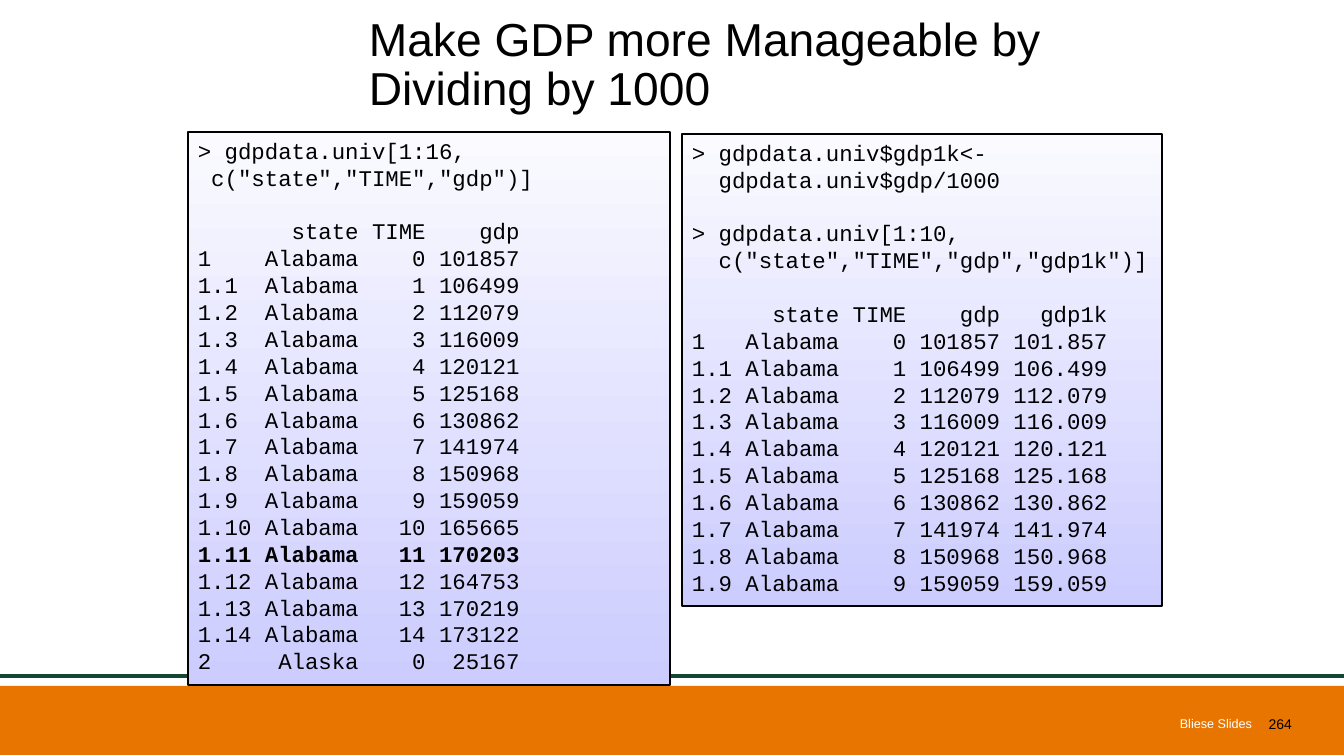
from lxml import etree
from pptx import Presentation
from pptx.dml.color import RGBColor
from pptx.enum.shapes import MSO_CONNECTOR, MSO_SHAPE
from pptx.enum.text import MSO_ANCHOR, PP_ALIGN
from pptx.oxml.ns import qn
from pptx.util import Emu, Pt

LEFT, RIGHT = PP_ALIGN.LEFT, PP_ALIGN.RIGHT
TOP, MIDDLE = MSO_ANCHOR.TOP, MSO_ANCHOR.MIDDLE
RECT, STRAIGHT = MSO_SHAPE.RECTANGLE, MSO_CONNECTOR.STRAIGHT

GDP = [101857, 106499, 112079, 116009, 120121, 125168, 130862, 141974,
       150968, 159059, 165665, 170203, 164753, 170219, 173122]
ROWS = [(f"1.{time}" if time else "1", "Alabama", time, gdp)
        for time, gdp in enumerate(GDP)] + [("2", "Alaska", 0, 25167)]
PEAK = "1.11"

# Each listing is a series of blocks with one blank line between them.
GDP_BLOCKS = [
    ["> gdpdata.univ[1:16,", ' c("state","TIME","gdp")]'],
    ["       state TIME    gdp"]
    + [f"{row:<4} {state:>7} {time:>4} {gdp:>6}" for row, state, time, gdp in ROWS],
]
GDP1K_BLOCKS = [
    ["> gdpdata.univ$gdp1k<-", "  gdpdata.univ$gdp/1000"],
    ["> gdpdata.univ[1:10,", '  c("state","TIME","gdp","gdp1k")]'],
    ["      state TIME    gdp   gdp1k"]
    + [f"{row:<3} {state:>7} {time:>4} {gdp:>6} {gdp / 1000:.3f}"
       for row, state, time, gdp in ROWS[:10]],
]
LISTINGS = [((188, 132, 482, 553), GDP_BLOCKS), ((682, 134, 480, 472), GDP1K_BLOCKS)]

# text, box, size, colour, alignment, right inset
LABELS = [
    ("Make GDP more Manageable by Dividing by 1000", (359, 24, 723, 84), 33, "000000", LEFT, 10),
    ("Bliese Slides", (446, 713, 806, 21), 9, "FFFFFF", RIGHT, 0),
    ("264", (1252, 713, 50, 21), 10, "000000", RIGHT, 10),
]

SLIDE_W, SLIDE_H = 1344, 756
BAR = (0, 686, SLIDE_W, 69)
RULE_Y = 676
CODE_SIZE, CODE_LINE = 16, 19.2


def px(n):
    return Emu(round(n * 914400 / 100.8))


def rgb(value):
    return RGBColor.from_string(value)


def set_all(obj, values):
    for name, value in values.items():
        setattr(obj, name, value)


def set_font(r, face, size, color, bold=False):
    set_all(r.font, {"name": face, "size": Pt(size), "bold": bold})
    r.font.color.rgb = rgb(color)


def add_rect(box):
    sp = slide.shapes.add_shape(RECT, *map(px, box))
    sp.shadow.inherit = False
    return sp


def add_label(text, box, size, color, align, inset):
    tf = slide.shapes.add_textbox(*map(px, box)).text_frame
    set_all(tf, {"word_wrap": True, "vertical_anchor": MIDDLE, "margin_right": px(inset)})
    p = tf.paragraphs[0]
    set_all(p, {"alignment": align, "line_spacing": 0.9 if size > 30 else 1.0})
    r = p.add_run()
    r.text = text
    set_font(r, "Arial", size, color)


def add_listing(box, blocks):
    sp = add_rect(box)
    sp.fill.gradient()
    sp.fill.gradient_angle = 270
    for stop, color, position in zip(sp.fill.gradient_stops, ("FAFAFF", "CCCCFF"), (0, 1)):
        stop.color.rgb = rgb(color)
        stop.position = position
    sp.line.color.rgb = rgb("000000")
    sp.line.width = Pt(1)
    tf = sp.text_frame
    set_all(tf, {"word_wrap": True, "vertical_anchor": TOP})
    lines = [(text, b > 0 and i == 0)
             for b, block in enumerate(blocks) for i, text in enumerate(block)]
    for n, (text, after_gap) in enumerate(lines):
        p = tf.add_paragraph() if n else tf.paragraphs[0]
        set_all(p, {"alignment": LEFT, "line_spacing": Pt(CODE_LINE)})
        if after_gap:
            p.space_before = Pt(CODE_LINE)
        r = p.add_run()
        r.text = text
        set_font(r, "Courier New", CODE_SIZE, "000000", text.startswith(PEAK))


prs = Presentation()
set_all(prs, {"slide_width": px(SLIDE_W), "slide_height": px(SLIDE_H)})
slide = prs.slides.add_slide(prs.slide_layouts[6])

bar = add_rect(BAR)
bar.fill.solid()
bar.fill.fore_color.rgb = rgb("E87500")
bar.line.fill.background()

rule = slide.shapes.add_connector(STRAIGHT, 0, px(RULE_Y), px(SLIDE_W), px(RULE_Y))
rule.line.color.rgb = rgb("154734")
rule.line.width = Pt(3)
etree.SubElement(rule._element.spPr, qn("a:effectLst"))

for label in LABELS:
    add_label(*label)
for listing in LISTINGS:
    add_listing(*listing)

prs.save("out.pptx")
